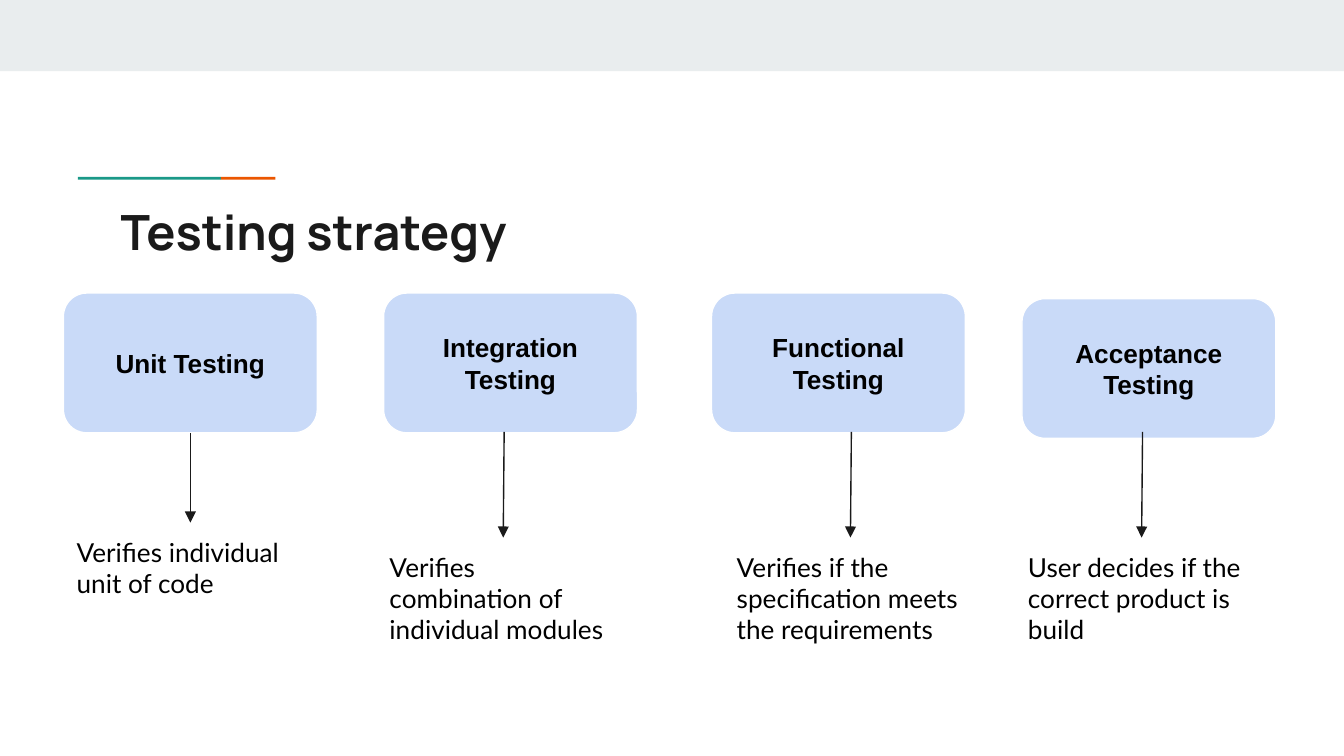
from dataclasses import dataclass

from lxml.etree import SubElement
from pptx import Presentation
from pptx.dml.color import RGBColor
from pptx.enum.shapes import MSO_CONNECTOR as Line, MSO_SHAPE as Form
from pptx.enum.text import MSO_ANCHOR as Anchor, PP_ALIGN as Align
from pptx.oxml.ns import qn
from pptx.util import Pt

WHITE = RGBColor(0xFF, 0xFF, 0xFF)
BLACK = RGBColor(0, 0, 0)
INK = RGBColor(0x1A, 0x1A, 0x1A)
BAND = RGBColor(0xE9, 0xED, 0xEE)
TEAL = RGBColor(0x1A, 0x99, 0x88)
ORANGE = RGBColor(0xEB, 0x56, 0x00)
BLUE = RGBColor(0xC9, 0xDA, 0xF8)

WIDE, HIGH = 136, 74.9  # size of a step's box and of its note
PAD = 7.2
START = 231.4  # where the arrows leave the boxes

HEAD = dict(size=Pt(26), name="Manrope", bold=True)
LABEL = dict(size=Pt(14), name="Arial", bold=True)
BODY = dict(size=Pt(14), name="Lato", bold=False)


@dataclass
class Bar:
    x: float
    y: float
    w: float
    h: float
    fill: RGBColor


@dataclass
class Step:
    name: str
    x: float
    y: float
    note: str
    note_x: float
    note_y: float
    lean: float = 0.5  # shift of the arrow's start from its tip
    bound: bool = False  # arrow starts at the middle of the box


BARS = [
    Bar(0, 0, 720, 38.2, BAND),
    Bar(41.8, 94.8, 76.6, 1.5, TEAL),
    Bar(118.4, 94.8, 29.2, 1.5, ORANGE),
]

STEPS = [
    Step("Unit Testing", 34, 157, "Verifies individual unit of code",
         34, 280, bound=True),
    Step("Integration Testing", 205.5, 157,
         "Verifies combination of individual modules", 201.6, 288),
    Step("Functional Testing", 381.2, 157,
         "Verifies if the specification meets the requirements", 387.6, 288),
    Step("Acceptance Testing", 547.5, 160,
         "User decides if the correct product is build", 543.6, 288),
]


def write(shape, text: str, font: dict, color: RGBColor,
          align=Align.LEFT, anchor=Anchor.TOP) -> None:
    frame = shape.text_frame
    frame.word_wrap = True
    frame.vertical_anchor = anchor
    for side in ("left", "top", "right", "bottom"):
        setattr(frame, f"margin_{side}", Pt(PAD))
    para = frame.paragraphs[0]
    para.alignment = align
    run = para.add_run()
    run.text = text
    for key, value in font.items():
        setattr(run.font, key, value)
    run.font.color.rgb = color


def add_text(slide, x: float, y: float, w: float, h: float,
             text: str, font: dict, color: RGBColor):
    box = slide.shapes.add_textbox(Pt(x), Pt(y), Pt(w), Pt(h))
    write(box, text, font, color)
    return box


def add_form(slide, form, x: float, y: float, w: float, h: float,
             fill: RGBColor):
    shape = slide.shapes.add_shape(form, Pt(x), Pt(y), Pt(w), Pt(h))
    shape.shadow.inherit = False
    shape.fill.solid()
    shape.fill.fore_color.rgb = fill
    shape.line.fill.background()
    return shape


def add_arrow(slide, step: Step, box, note) -> None:
    tip = step.note_x + WIDE / 2
    arrow = slide.shapes.add_connector(
        Line.STRAIGHT, Pt(tip + step.lean), Pt(START), Pt(tip), Pt(step.note_y))
    if step.bound:
        arrow.begin_connect(box, 2)
    arrow.end_connect(note, 0)
    arrow.line.color.rgb = INK
    arrow.line.width = Pt(0.75)
    SubElement(arrow.line._get_or_add_ln(), qn("a:tailEnd"), type="triangle")
    SubElement(arrow._element.spPr, qn("a:effectLst"))


def add_step(slide, step: Step) -> None:
    box = add_form(slide, Form.ROUNDED_RECTANGLE, step.x, step.y,
                   WIDE, HIGH, BLUE)
    box.line.color.rgb = WHITE
    box.line.width = Pt(0.75)
    write(box, step.name, LABEL, BLACK, Align.CENTER, Anchor.MIDDLE)
    note = add_text(slide, step.note_x, step.note_y, WIDE, HIGH,
                    step.note, BODY, BLACK)
    add_arrow(slide, step, box, note)


def main() -> None:
    deck = Presentation()
    deck.slide_width, deck.slide_height = Pt(720), Pt(405)
    slide = deck.slides.add_slide(deck.slide_layouts[6])

    # Top band and the two-colour rule
    for bar in BARS:
        add_form(slide, Form.RECTANGLE, bar.x, bar.y, bar.w, bar.h, bar.fill)

    # Title
    add_text(slide, 57.6, 100.8, 605.5, 42.5, "Testing strategy", HEAD, INK)

    # Steps, each with its arrow and note
    for step in STEPS:
        add_step(slide, step)

    deck.save("out.pptx")


if __name__ == "__main__":
    main()
